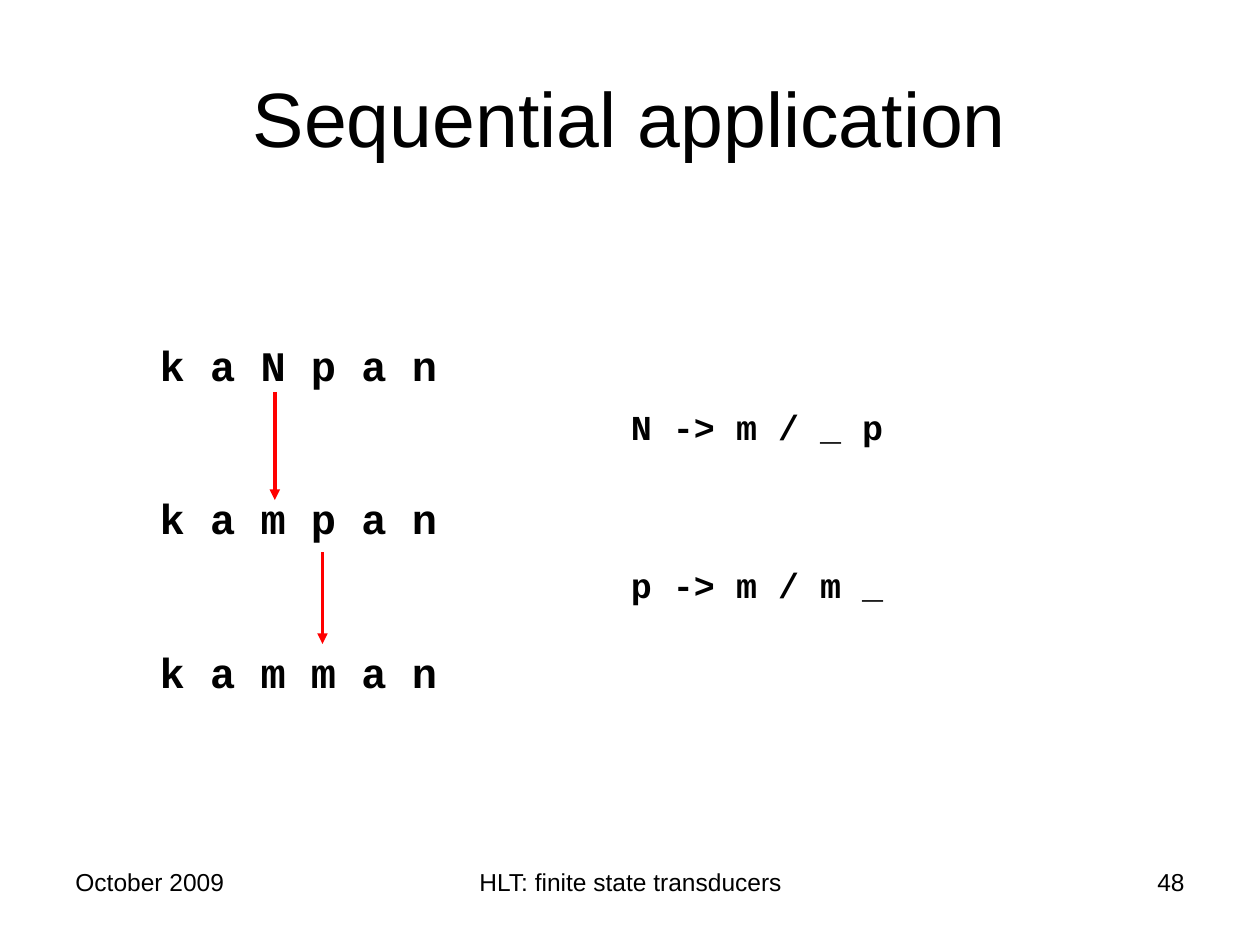
from lxml import etree
from pptx import Presentation
from pptx.dml.color import RGBColor
from pptx.enum.shapes import MSO_CONNECTOR
from pptx.enum.text import MSO_ANCHOR, PP_ALIGN
from pptx.oxml.ns import qn
from pptx.util import Cm, Pt

LEFT, CENTER, RIGHT = PP_ALIGN.LEFT, PP_ALIGN.CENTER, PP_ALIGN.RIGHT
MIDDLE, TOP = MSO_ANCHOR.MIDDLE, MSO_ANCHOR.TOP
STRAIGHT = MSO_CONNECTOR.STRAIGHT

TITLE = "Sequential application"
DERIVATION = ["k a N p a n", "k a m p a n", "k a m m a n"]
RULES = ["N -> m / _ p", "p -> m / m _"]
# x, top, bottom in cm: one arrow per rewritten letter
REWRITE_ARROWS = [(5.54, 7.9, 10.08), (6.5, 11.13, 12.98)]
# text, left and width in cm, alignment
FOOTER = [
    ("October 2009", 1.27, 5.92, LEFT),
    ("HLT: finite state transducers", 8.69, 8.05, CENTER),
    ("48", 18.21, 5.92, RIGHT),
]
RULE_TOP, RULE_PITCH = 8.05, 3.18

THEME = {
    "text": RGBColor(0, 0, 0),
    "arrow": RGBColor(255, 0, 0),
    "sans": "Arial",
    "mono": "Courier New",
    "title": Pt(44),
    "derivation": Pt(24),
    "rule": Pt(20),
    "footer": Pt(14),
    "derivation_gap": Pt(59),
    "arrow_width": Pt(2),
}


def place(shape, left, top, width, height):
    shape.left, shape.top = Cm(left), Cm(top)
    shape.width, shape.height = Cm(width), Cm(height)


def write(shape, lines, role, font, align=LEFT, bold=False, wrap=True, gap=Pt(0)):
    frame = shape.text_frame
    frame.text = "\n".join(lines)
    frame.word_wrap = wrap
    for index, paragraph in enumerate(frame.paragraphs):
        paragraph.alignment = align
        paragraph.space_before = gap if index else Pt(0)
        for run in paragraph.runs:
            run.font.name = THEME[font]
            run.font.size = THEME[role]
            run.font.bold = bold
            run.font.color.rgb = THEME["text"]


def add_text(slide, box, lines, role, font, **style):
    shape = slide.shapes.add_textbox(*map(Cm, box))
    shape.text_frame.vertical_anchor = TOP
    write(shape, lines, role, font, **style)


def add_down_arrow(slide, x, top, bottom):
    arrow = slide.shapes.add_connector(STRAIGHT, Cm(x), Cm(top), Cm(x), Cm(bottom))
    arrow.line.color.rgb = THEME["arrow"]
    arrow.line.width = THEME["arrow_width"]
    etree.SubElement(arrow.line._get_or_add_ln(), qn("a:tailEnd"), type="triangle")
    etree.SubElement(arrow._element.spPr, qn("a:effectLst"))


def main():
    deck = Presentation()
    deck.slide_width, deck.slide_height = Cm(25.4), Cm(19.05)
    slide = deck.slides.add_slide(deck.slide_layouts[5])

    title = slide.shapes.title
    place(title, 1.27, 0.76, 22.86, 3.18)
    write(title, [TITLE], "title", "sans", align=CENTER)
    title.text_frame.vertical_anchor = MIDDLE

    for text, left, width, align in FOOTER:
        add_text(slide, (left, 17.35, width, 1.32), [text], "footer", "sans", align=align)

    for index, rule in enumerate(RULES):
        box = (12.47, RULE_TOP + index * RULE_PITCH, 5.59, 1.09)
        add_text(slide, box, [rule], "rule", "mono", align=CENTER, bold=True, wrap=False)

    add_text(slide, (2.97, 6.71, 6.1, 7.37), DERIVATION, "derivation", "mono",
             bold=True, wrap=False, gap=THEME["derivation_gap"])
    for x, top, bottom in REWRITE_ARROWS:
        add_down_arrow(slide, x, top, bottom)

    deck.save("out.pptx")


if __name__ == "__main__":
    main()
